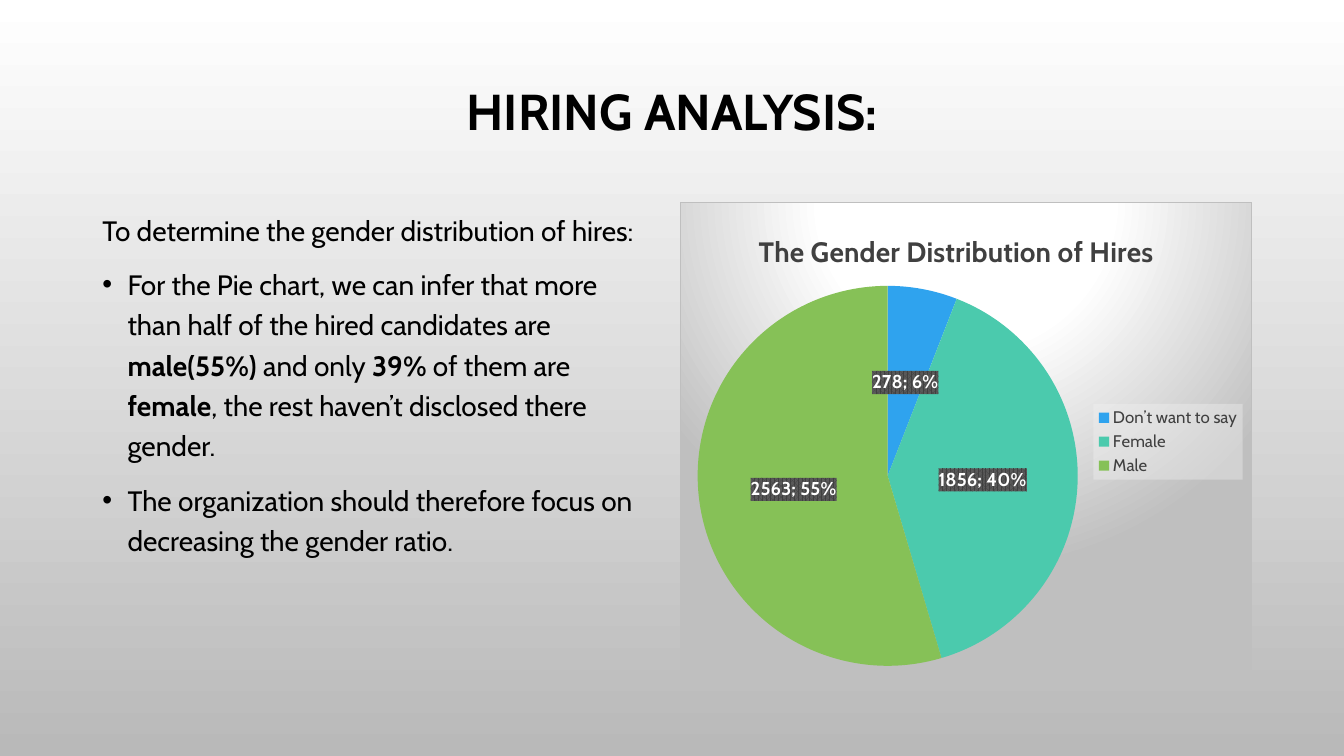
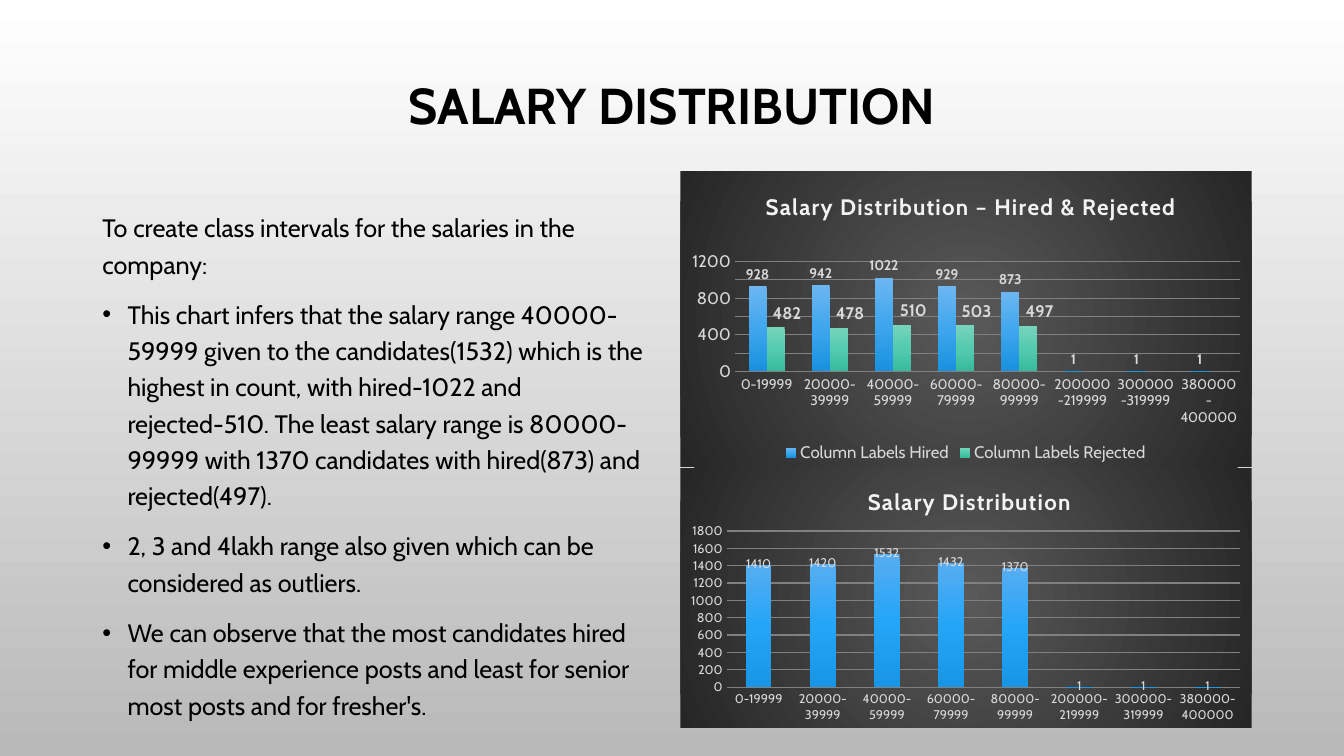
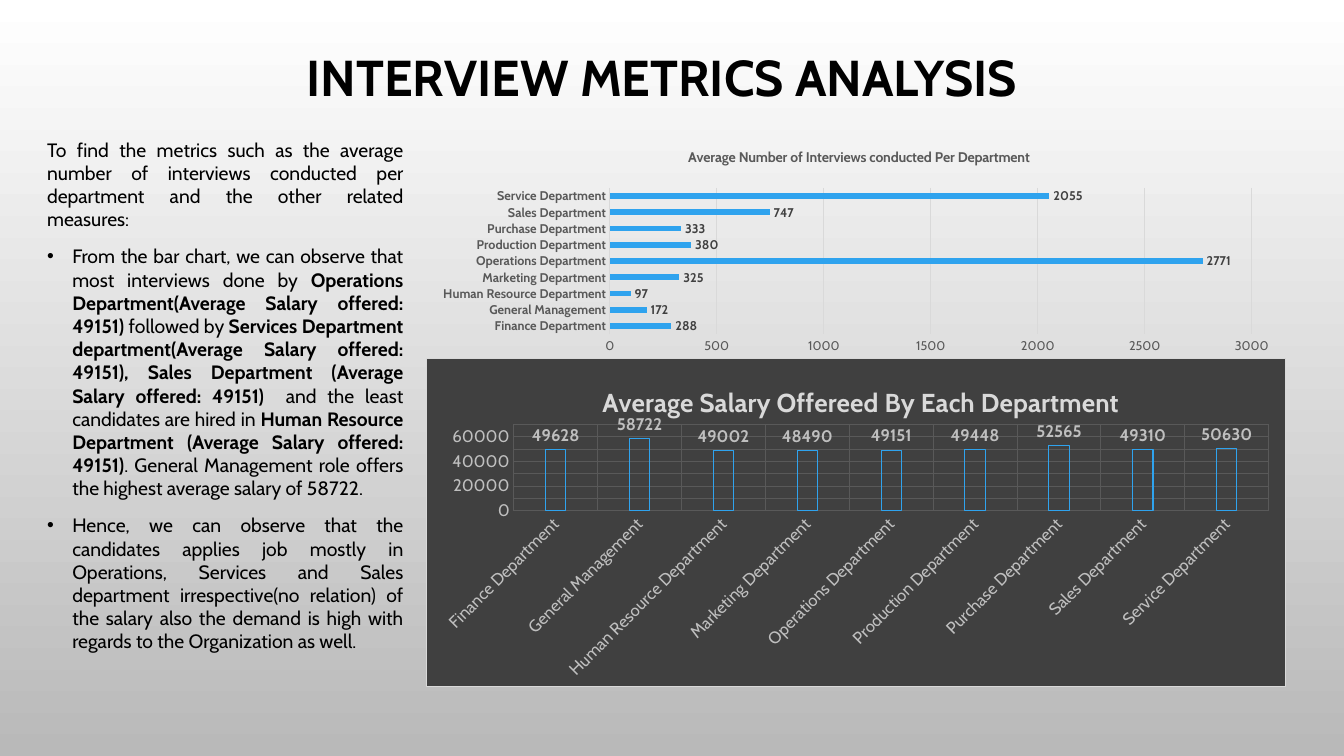
from pptx import Presentation
from pptx.chart.data import CategoryChartData
from pptx.dml.color import RGBColor
from pptx.enum.chart import XL_CHART_TYPE, XL_LABEL_POSITION, XL_LEGEND_POSITION, XL_TICK_MARK
from pptx.enum.text import MSO_ANCHOR, PP_ALIGN
from pptx.oxml import parse_xml
from pptx.oxml.ns import nsdecls, qn
from pptx.util import Pt

FACE = "Cabin"
HUES = {
    "black": "000000", "white": "FFFFFF", "base": "B9B9B9", "pale": "F2F2F2",
    "light": "D9D9D9", "silver": "BFBFBF", "grey": "808080", "slate": "595959",
    "dark": "404040", "night": "262626",
    "blue": "2FA3EE", "teal": "4BCAAD", "green": "86C157",
    "sky": "6CB6F1", "azure": "3FA6EE", "deep": "1891DF",
    "mint": "77D4BC", "jade": "54CBAF", "pine": "36BA9C",
    "top": "56ADF2", "mid": "25A5F8", "low": "1895E5",
}
BANDS = ["0-19999", "20000-39999", "40000-59999", "60000-79999", "80000-99999",
         "200000-219999", "300000-319999", "380000-400000"]
UNITS = ["Finance Department", "General Management", "Human Resource Department",
         "Marketing Department", "Operations Department", "Production Department",
         "Purchase Department", "Sales Department", "Service Department"]
BODY = (66, 144, 408, 343)


def rgb(hue):
    return RGBColor.from_string(HUES[hue])


def style(font, size, hue, bold=False):
    font.name = FACE
    font.size = Pt(size)
    font.bold = bold
    font.color.rgb = rgb(hue)


def solid(hue, alpha=100):
    return (f'<a:solidFill><a:srgbClr val="{HUES[hue]}">'
            f'<a:alpha val="{alpha * 1000}"/></a:srgbClr></a:solidFill>')


def fade(stops, way='<a:lin ang="5400000" scaled="0"/>'):
    marks = "".join(f'<a:gs pos="{pos * 1000}"><a:srgbClr val="{HUES[hue]}"/></a:gs>'
                    for pos, hue in stops)
    return f'<a:gradFill {nsdecls("a")} rotWithShape="1"><a:gsLst>{marks}</a:gsLst>{way}</a:gradFill>'


def glow(stops, top, base):
    rect = f'<a:fillToRect l="50000" t="{top * 1000}" r="50000" b="{base * 1000}"/>'
    return fade(stops, f'<a:path path="circle">{rect}</a:path>')


def paint(item, fill, edge=None):
    line = f'<a:ln w="9525">{solid(edge)}</a:ln>' if edge else "<a:ln><a:noFill/></a:ln>"
    item.find(qn("c:txPr")).addprevious(
        parse_xml(f'<c:spPr {nsdecls("c", "a")}>{fill}{line}</c:spPr>'))


def place(item, spot, size, inner=False):
    names = ("x", "y", "w", "h")[:len(spot)]
    modes = "".join(f'<c:{n}Mode val="edge"/>' for n in names[:2])
    sides = "".join(f'<c:{n} val="{v / size[i % 2]:.4f}"/>'
                    for i, (n, v) in enumerate(zip(names, spot)))
    aim = '<c:layoutTarget val="inner"/>' if inner else ""
    new = parse_xml(f'<c:layout {nsdecls("c")}><c:manualLayout>{aim}{modes}{sides}'
                    '</c:manualLayout></c:layout>')
    old = item.find(qn("c:layout"))
    if old is None:
        item.insert(0 if inner else 1, new)
    else:
        item.replace(old, new)


def bullet(para):
    props = para._p.get_or_add_pPr()
    props.set("marL", str(Pt(18)))
    props.set("indent", str(-Pt(18)))
    for part in (f'<a:buClr {nsdecls("a")}><a:srgbClr val="{HUES["black"]}"/></a:buClr>',
                 f'<a:buFont {nsdecls("a")} typeface="Arial"/>',
                 f'<a:buChar {nsdecls("a")} char="•"/>'):
        props.append(parse_xml(part))


def frame(slide, box):
    text = slide.shapes.add_textbox(*map(Pt, box)).text_frame
    text.word_wrap = True
    return text


def title(slide, box, words):
    text = frame(slide, box)
    text.vertical_anchor = MSO_ANCHOR.MIDDLE
    para = text.paragraphs[0]
    para.text = words
    para.alignment = PP_ALIGN.CENTER
    para.line_spacing = 0.9
    style(para.font, 36, "black", True)


def body(slide, box, size, lines, gap=1.2, align=PP_ALIGN.LEFT):
    text = frame(slide, box)
    for i, line in enumerate(lines):
        para = text.add_paragraph() if i else text.paragraphs[0]
        para.alignment = align
        para.line_spacing = gap
        para.space_before = Pt(10)
        if i:
            bullet(para)
        style(para.font, size, "black")
        for j, part in enumerate(line.split("*")):
            run = para.add_run()
            run.text = part
            if j % 2:
                run.font.bold = True


def graph(slide, kind, box, cats, rows, area):
    data = CategoryChartData()
    data.categories = cats
    for name, vals in rows:
        data.add_series(name, vals)
    chart = slide.shapes.add_chart(kind, *map(Pt, box), data).chart
    style(chart.font, 10, "black")
    chart.has_legend = False
    root = chart.element
    if root.find(qn("c:roundedCorners")) is None:
        root.insert(0, parse_xml(f'<c:roundedCorners {nsdecls("c")} val="0"/>'))
    place(root.find(".//" + qn("c:plotArea")), area, box[2:], True)
    return chart


def head(chart, box, spot, words, size, hue, space=0):
    chart.has_title = True
    para = chart.chart_title.text_frame.paragraphs[0]
    para.text = words
    style(para.font, size, hue, True)
    if space:
        para._p.get_or_add_pPr().get_or_add_defRPr().set("spc", str(space * 100))
    place(chart.chart_title.element, spot, box[2:])


def legend(chart, side, hue):
    chart.has_legend = True
    chart.legend.position = side
    chart.legend.include_in_layout = False
    style(chart.legend.font, 12, hue)


def axis(axis, size, hue, grid=None, line=None, bold=False):
    axis.major_tick_mark = axis.minor_tick_mark = XL_TICK_MARK.NONE
    style(axis.tick_labels.font, size, hue, bold)
    axis.has_major_gridlines = bool(grid)
    if grid:
        axis.major_gridlines.format.line.color.rgb = rgb(grid)
        axis.major_gridlines.format.line.width = Pt(0.75)
    if line:
        axis.format.line.color.rgb = rgb(line)
        axis.format.line.width = Pt(0.75)
    else:
        axis.format.line.fill.background()


def scale(axis, top, step):
    axis.minimum_scale = 0
    axis.maximum_scale = top
    axis.major_unit = step


def bars(chart, gap, lap=0):
    plot = chart.plots[0]
    plot.vary_by_categories = False
    plot.gap_width = gap
    plot.overlap = lap
    for row in plot.series:
        row.invert_if_negative = False


def tint(row, hues):
    row.format.fill.background()
    props = row._element.find(qn("c:spPr"))
    stops = zip((0, 50, 100), hues)
    props.replace(props.find(qn("a:noFill")), parse_xml(fade(stops)))


def label(row, size, hue, spot, bold=True):
    tags = row.data_labels
    tags.show_value = True
    tags.position = spot
    style(tags.font, size, hue, bold)
    return tags


def nudge(row, count, size, hue, spot, bold, right, down):
    for i in range(count):
        tag = row.points[i].data_label
        style(tag.font, size, hue, bold)
        tag.position = spot
    for item in row._element.iter(qn("c:dLbl")):
        old = item.find(qn("c:layout"))
        if old is not None:
            item.remove(old)
        item.insert(1, parse_xml(
            f'<c:layout {nsdecls("c")}><c:manualLayout><c:x val="{right}"/>'
            f'<c:y val="{down}"/></c:manualLayout></c:layout>'))


def hiring(slide):
    title(slide, (72, 49, 816, 65.5), "HIRING ANALYSIS:")
    body(slide, BODY, 20, [
        "To determine the gender distribution of hires:",
        "For the Pie chart, we can infer that more than half of the hired candidates "
        "are *male(55%)* and only *39%* of them are *female*, the rest haven’t "
        "disclosed there gender.",
        "The organization should therefore focus on decreasing the gender ratio.",
    ])
    box = (486, 144, 408, 343)
    pie = graph(slide, XL_CHART_TYPE.PIE, box, ["Don’t want to say", "Female", "Male"],
                [("Series 1", (278, 1856, 2563))], (12, 60, 272, 272))
    head(pie, box, (52, 18), "The Gender Distribution of Hires", 20, "dark")
    legend(pie, XL_LEGEND_POSITION.RIGHT, "dark")
    paint(pie.element.find(".//" + qn("c:legend")), solid("pale", 39))
    paint(pie.element, glow([(0, "white"), (39, "white"), (100, "silver")], -80, 180), "silver")
    row = pie.plots[0].series[0]
    for i, hue in enumerate(("blue", "teal", "green")):
        fill = row.points[i].format.fill
        fill.solid()
        fill.fore_color.rgb = rgb(hue)
    tags = label(row, 13.3, "white", XL_LABEL_POSITION.CENTER)
    tags.show_percentage = True
    mark = parse_xml(f'<c:separator {nsdecls("c")}>; </c:separator>')
    tags._element.find(qn("c:showBubbleSize")).addnext(mark)
    paint(tags._element, '<a:pattFill prst="pct75">'
          f'<a:fgClr><a:srgbClr val="{HUES["dark"]}"/></a:fgClr>'
          f'<a:bgClr><a:srgbClr val="{HUES["slate"]}"/></a:bgClr></a:pattFill>')


def salary(slide):
    title(slide, (72, 49, 816, 57), "SALARY DISTRIBUTION")
    body(slide, BODY, 18, [
        "To create class intervals for the salaries in the company:",
        "This chart infers that the salary range 40000-59999 given to the candidates(1532) "
        "which is the highest in count, with hired-1022 and rejected-510. The least salary "
        "range is 80000-99999 with 1370 candidates with hired(873) and rejected(497).",
        "2, 3 and 4lakh range also given which can be considered as outliers.",
        "We can observe that the most candidates hired for middle experience posts and "
        "least for senior most posts and for fresher's.",
    ])
    dusk = glow([(0, "slate"), (100, "night")], 50, 50)
    end = XL_LABEL_POSITION.OUTSIDE_END

    box = (486, 122.4, 408, 211)
    pair = graph(slide, XL_CHART_TYPE.COLUMN_CLUSTERED, box, BANDS, [
        ("Column Labels Hired", (928, 942, 1022, 929, 873, 1, 1, 1)),
        ("Column Labels Rejected", (482, 478, 510, 503, 497, None, None, None)),
    ], (39, 64.5, 361, 78.5))
    head(pair, box, (58, 11.5), "Salary Distribution – Hired & Rejected", 16, "pale", 1)
    legend(pair, XL_LEGEND_POSITION.BOTTOM, "light")
    axis(pair.category_axis, 10, "light")
    axis(pair.value_axis, 12, "light", "grey")
    scale(pair.value_axis, 1200, 200)
    bars(pair, 150)
    hired, cut = pair.plots[0].series
    tint(hired, ("sky", "azure", "deep"))
    tint(cut, ("mint", "jade", "pine"))
    label(hired, 10, "light", end)
    label(cut, 12, "light", end)
    nudge(cut, 5, 12, "light", end, True, 0.02, 0)
    paint(pair.element, dusk)

    box = (486, 334, 408, 186)
    total = graph(slide, XL_CHART_TYPE.COLUMN_STACKED, box, BANDS,
                  [("Series 1", (1410, 1420, 1532, 1432, 1370, 1, 1, 1))],
                  (33, 45.3, 366.5, 111.5))
    head(total, box, (131, 11), "Salary Distribution", 16, "pale", 1)
    axis(total.category_axis, 9, "light")
    axis(total.value_axis, 9, "light", "grey")
    scale(total.value_axis, 1800, 200)
    bars(total, 150, 100)
    row = total.plots[0].series[0]
    tint(row, ("top", "mid", "low"))
    spot = XL_LABEL_POSITION.INSIDE_END
    label(row, 9, "light", spot, False)
    nudge(row, len(BANDS), 9, "light", spot, False, 0, -0.05)
    paint(total.element, dusk)


def metrics(slide):
    title(slide, (26.6, 20.2, 892, 74), "INTERVIEW METRICS ANALYSIS")
    body(slide, (26.6, 95, 268.6, 395), 13.8, [
        "To find the metrics such as the average number of interviews conducted per "
        "department and the other related measures:",
        "From the bar chart, we can observe that most interviews done by *Operations "
        "Department(Average Salary offered: 49151) *followed by *Services Department "
        "department(Average Salary offered: 49151), Sales Department (Average Salary "
        "offered: 49151)  *and the least candidates are hired in *Human Resource "
        "Department (Average Salary offered: 49151)*. General Management role offers "
        "the highest average salary of 58722.",
        "Hence, we can observe that the candidates applies job mostly in Operations, "
        "Services and Sales department irrespective(no relation) of the salary also the "
        "demand is high with regards to the Organization as well.",
    ], 1.0, PP_ALIGN.JUSTIFY)
    end = XL_LABEL_POSITION.OUTSIDE_END

    box = (304.6, 255.6, 614, 235)
    pay = graph(slide, XL_CHART_TYPE.COLUMN_CLUSTERED, box, UNITS,
                [("Series 1", (49628, 58722, 49002, 48490, 49151, 49448, 52565, 49310, 50630))],
                (62, 47.3, 540, 62))
    head(pay, box, (122, 15), "Average Salary Offereed By Each Department", 18.6, "light")
    axis(pay.category_axis, 12, "silver", "slate")
    axis(pay.value_axis, 12, "silver", "slate")
    scale(pay.value_axis, 70000, 10000)
    turn = pay.category_axis._element.find(qn("c:txPr")).find(qn("a:bodyPr"))
    turn.set("rot", "-2700000")
    turn.set("vert", "horz")
    bars(pay, 315, -40)
    row = pay.plots[0].series[0]
    row.format.fill.background()
    row.format.line.color.rgb = rgb("blue")
    row.format.line.width = Pt(0.75)
    label(row, 12, "silver", end)
    paint(pay.element, solid("dark"), "light")

    box = (304.6, 93.6, 614, 162)
    calls = graph(slide, XL_CHART_TYPE.BAR_CLUSTERED, box, UNITS,
                  [("Series 1", (288, 172, 97, 325, 2771, 380, 333, 747, 2055))],
                  (131, 40.7, 458.5, 104.5))
    head(calls, box, (185, 10), "Average Number of Interviews conducted Per Department",
         10, "slate")
    axis(calls.category_axis, 9, "slate", line="light", bold=True)
    axis(calls.value_axis, 9, "slate", "light")
    scale(calls.value_axis, 3000, 500)
    bars(calls, 182)
    row = calls.plots[0].series[0]
    row.format.fill.solid()
    row.format.fill.fore_color.rgb = rgb("blue")
    label(row, 9, "dark", end)
    paint(calls.element, "<a:noFill/>")


def main():
    deck = Presentation()
    deck.slide_width, deck.slide_height = Pt(960), Pt(540)
    fill = deck.slide_master.background.fill
    fill.gradient()
    fill.gradient_angle = 270
    for stop, hue in zip(fill.gradient_stops, ("white", "base")):
        stop.color.rgb = rgb(hue)
    for build in (hiring, salary, metrics):
        build(deck.slides.add_slide(deck.slide_layouts[6]))
    deck.save("out.pptx")


if __name__ == "__main__":
    main()
